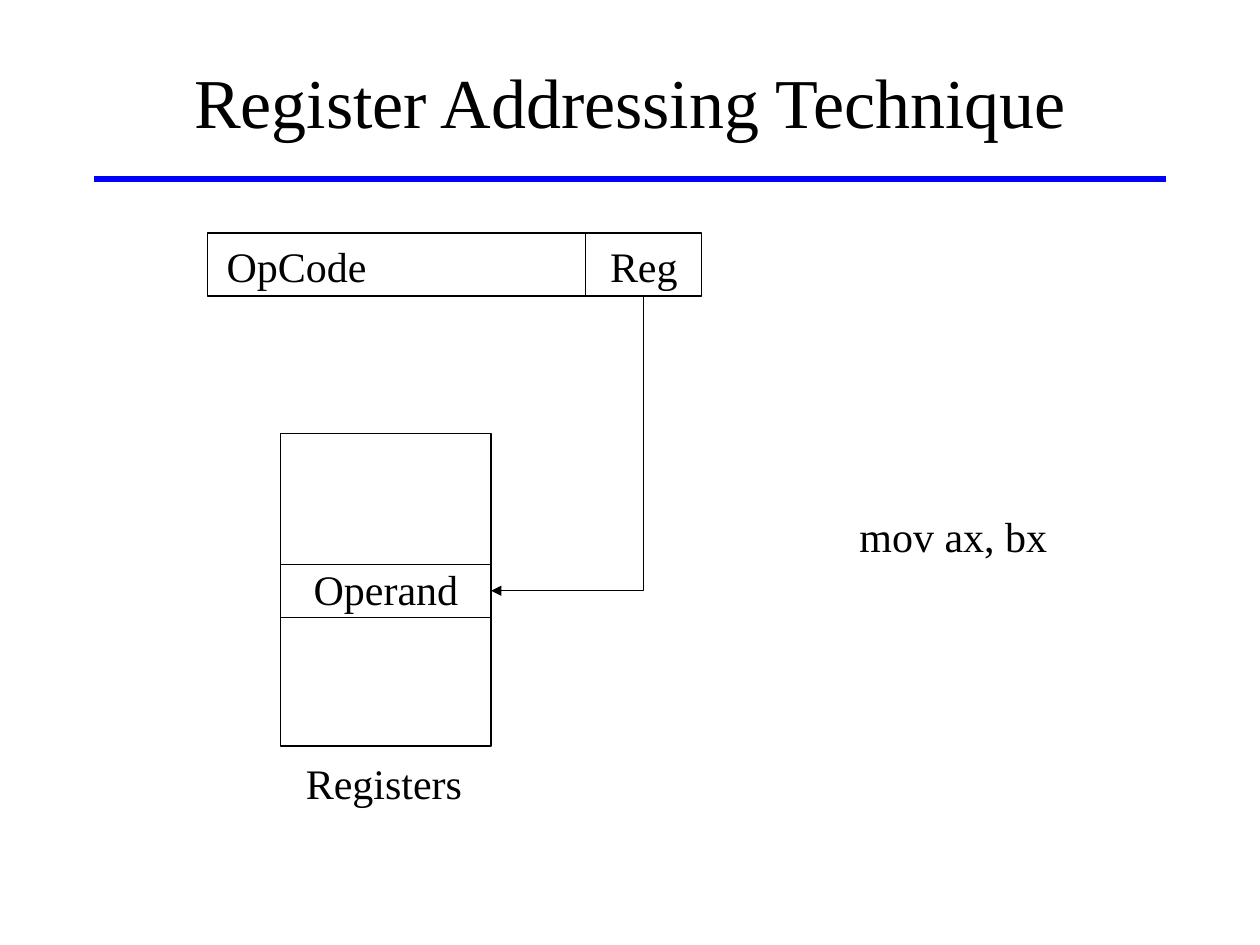
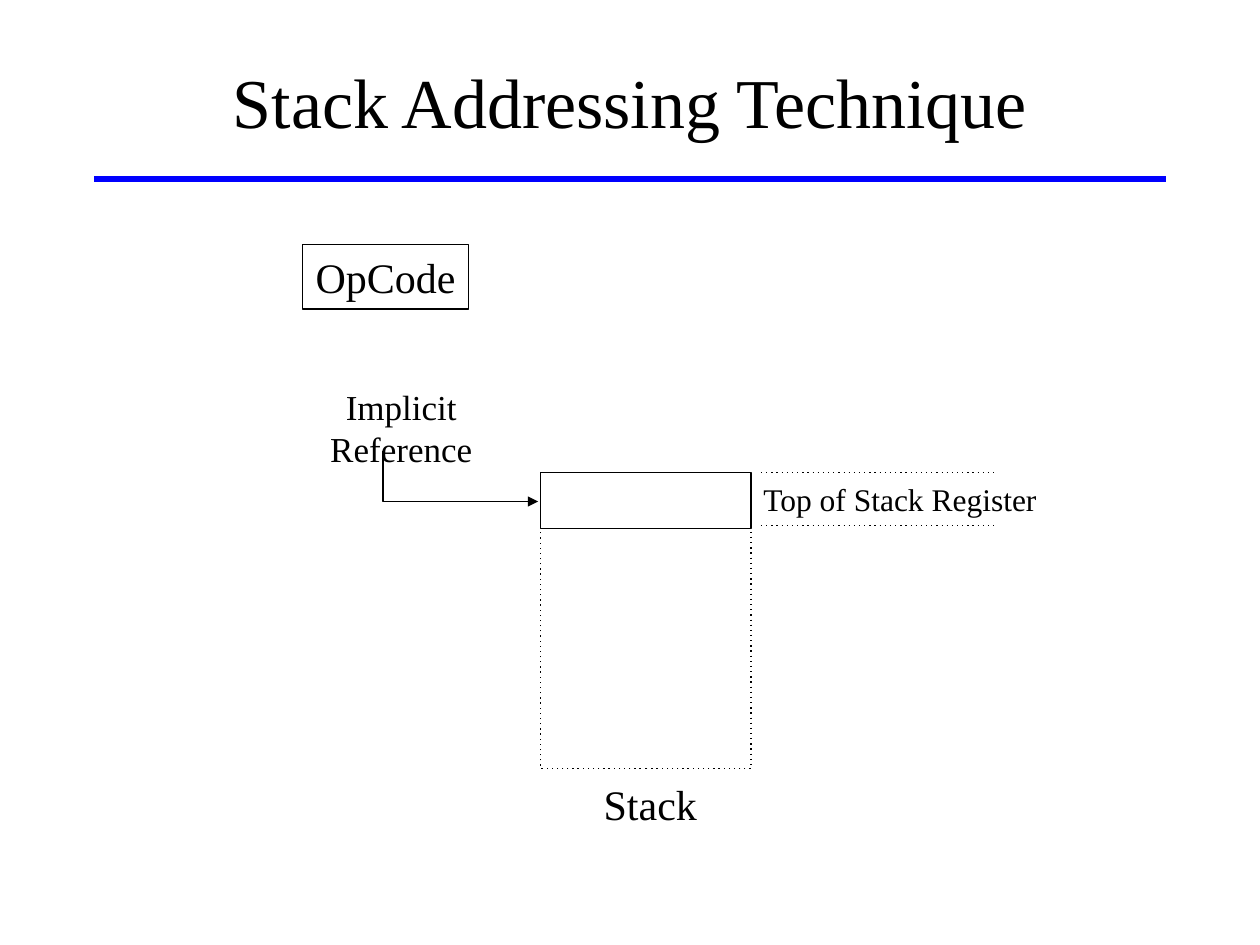
"""Build two slides on the register and stack addressing techniques."""
from dataclasses import dataclass
from typing import Optional

from lxml.etree import SubElement
from pptx import Presentation
from pptx.dml.color import RGBColor
from pptx.enum.shapes import MSO_CONNECTOR, MSO_SHAPE
from pptx.enum.text import MSO_ANCHOR, PP_ALIGN
from pptx.oxml.ns import qn
from pptx.util import Cm, Pt


@dataclass(frozen=True)
class Theme:
    ink: RGBColor = RGBColor(0, 0, 0)
    paper: RGBColor = RGBColor(255, 255, 255)
    rule: RGBColor = RGBColor(0, 0, 255)
    font: str = "Times New Roman"
    title: float = 40
    label: float = 24
    note: float = 20
    small: float = 18
    thin: float = 0.75
    thick: float = 3


@dataclass(frozen=True)
class Box:
    left: float
    top: float
    width: float
    height: float

    @property
    def right(self) -> float:
        return self.left + self.width

    @property
    def bottom(self) -> float:
        return self.top + self.height

    @property
    def emu(self) -> tuple:
        return Cm(self.left), Cm(self.top), Cm(self.width), Cm(self.height)


@dataclass(frozen=True)
class Label:
    text: str
    box: Box
    size: float
    align: PP_ALIGN = PP_ALIGN.CENTER


THEME = Theme()
ROW = 1.27


def set_line(sp, color: RGBColor = THEME.ink, width: float = THEME.thin,
             dotted: bool = False, arrow: bool = False) -> None:
    sp.line.color.rgb = color
    sp.line.width = Pt(width)
    ln = sp.element.spPr.find(qn("a:ln"))
    if dotted:
        SubElement(ln, qn("a:prstDash"), val="dot")
    if arrow:
        SubElement(ln, qn("a:tailEnd"), type="triangle")


def add_label(slide, label: Label) -> None:
    tf = slide.shapes.add_textbox(*label.box.emu).text_frame
    tf.word_wrap = True
    tf.vertical_anchor = MSO_ANCHOR.MIDDLE
    p = tf.paragraphs[0]
    p.text = label.text
    p.alignment = label.align
    p.font.name, p.font.size = THEME.font, Pt(label.size)
    p.font.color.rgb = THEME.ink


def add_box(slide, box: Box, fill: Optional[RGBColor] = None, dotted: bool = False) -> None:
    sp = slide.shapes.add_shape(MSO_SHAPE.RECTANGLE, *box.emu)
    sp.shadow.inherit = False
    if fill is None:
        sp.fill.background()
    else:
        sp.fill.solid()
        sp.fill.fore_color.rgb = fill
    set_line(sp, dotted=dotted)


def add_line(slide, x1: float, y1: float, x2: float, y2: float, **style) -> None:
    cxn = slide.shapes.add_connector(MSO_CONNECTOR.STRAIGHT, Cm(x1), Cm(y1), Cm(x2), Cm(y2))
    set_line(cxn, **style)
    SubElement(cxn.element.spPr, qn("a:effectLst"))


def add_bent_arrow(slide, *points: tuple) -> None:
    start, *rest = [(Cm(x), Cm(y)) for x, y in points]
    builder = slide.shapes.build_freeform(*start)
    builder.add_line_segments(rest, close=False)
    sp = builder.convert_to_shape()
    sp.shadow.inherit = False
    sp.fill.background()
    set_line(sp, arrow=True)


def add_titled_slide(prs, title: str):
    slide = prs.slides.add_slide(prs.slide_layouts[6])
    add_line(slide, 1.9, 3.61, 23.5, 3.61, color=THEME.rule, width=THEME.thick)
    add_label(slide, Label(title, Box(1.9, 0.43, 21.6, 3.18), THEME.title))
    return slide


def build_register_slide(prs) -> None:
    slide = add_titled_slide(prs, "Register Addressing Technique")
    instruction = Box(4.19, 4.7, 9.96, ROW)
    registers = Box(5.66, 8.74, 4.24, 6.3)
    divider, operand_top, operand_bottom = 11.81, 11.38, 12.45
    reg_x, operand_y = (divider + instruction.right) / 2, 11.91

    add_box(slide, instruction)
    add_line(slide, divider, instruction.top, divider, instruction.bottom)
    add_box(slide, registers, THEME.paper)
    for y in (operand_top, operand_bottom):
        add_line(slide, registers.left, y, registers.right, y)
    add_bent_arrow(slide, (reg_x, instruction.bottom), (reg_x, operand_y),
                   (registers.right, operand_y))
    for label in (
        Label("OpCode", Box(4.32, 4.72, 4, ROW), THEME.label, PP_ALIGN.LEFT),
        Label("Reg", Box(divider, 4.72, instruction.right - divider, ROW), THEME.label),
        Label("Operand", Box(registers.left, 11.23, registers.width, ROW), THEME.label),
        Label("Registers", Box(5.62, 15.14, registers.width, ROW), THEME.label),
        Label("mov ax, bx", Box(16.92, 10.16, 4.6, ROW), THEME.label),
    ):
        add_label(slide, label)


def build_stack_slide(prs) -> None:
    slide = add_titled_slide(prs, "Stack Addressing Technique")
    opcode = Box(6.1, 4.93, 3.35, 1.3)
    stack = Box(10.9, 9.53, 4.24, 5.97)
    stack_top = Box(stack.left, stack.top, stack.width, 1.12)

    add_box(slide, opcode)
    add_box(slide, stack, THEME.paper, dotted=True)
    add_bent_arrow(slide, (7.72, 9.09), (7.72, 10.11), (10.85, 10.11))
    add_box(slide, stack_top, THEME.paper)
    for y in (stack.top, 10.59):
        add_line(slide, 15.34, y, 20.07, y, dotted=True)
    for label in (
        Label("OpCode", opcode, THEME.label),
        Label("Stack", Box(11.61, 15.57, 3, ROW), THEME.label),
        Label("Implicit Reference", Box(5.29, 8.08, 5.6, 1.09), THEME.note),
        Label("Top of Stack Register", Box(stack.right, 9.55, 6.2, 1.02), THEME.small,
              PP_ALIGN.LEFT),
    ):
        add_label(slide, label)


def main() -> None:
    prs = Presentation()
    prs.slide_width, prs.slide_height = Cm(25.4), Cm(19.05)
    build_register_slide(prs)
    build_stack_slide(prs)
    prs.save("out.pptx")


main()
